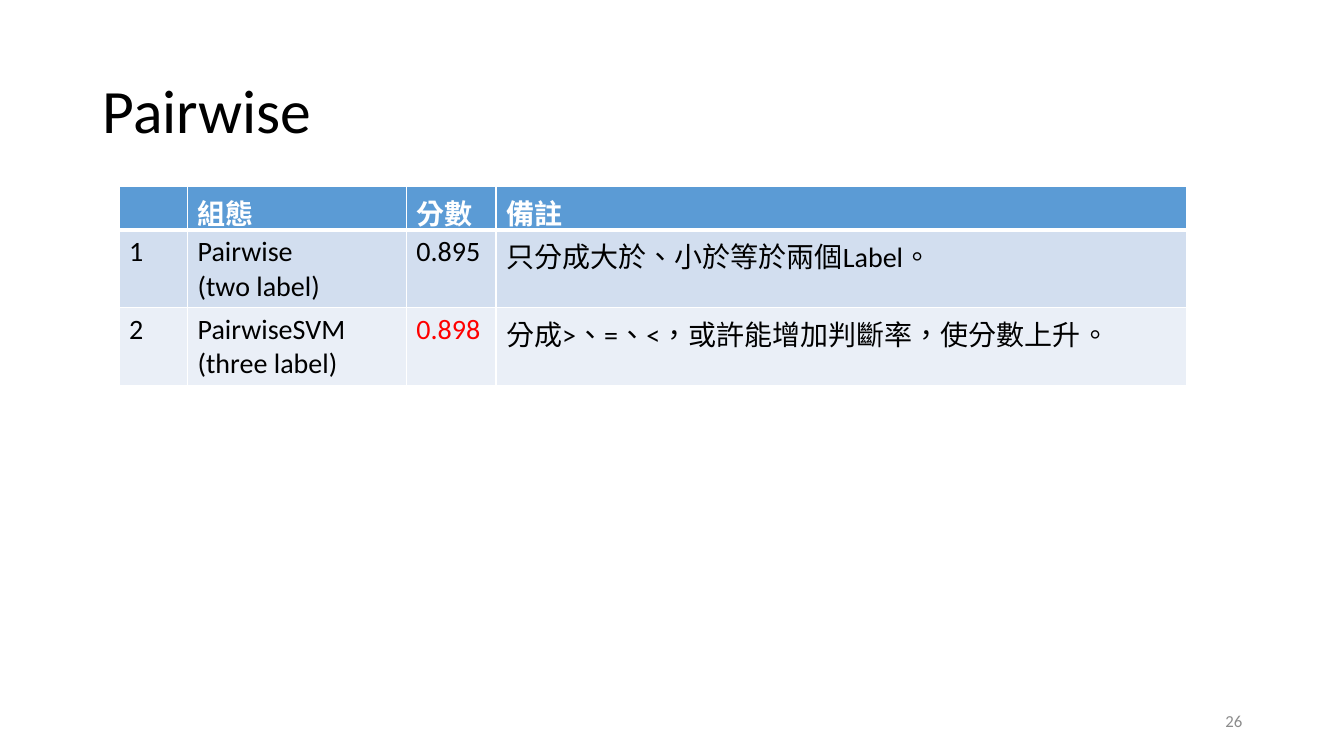
from lxml import etree
from pptx import Presentation
from pptx.dml.color import RGBColor
from pptx.enum.text import MSO_ANCHOR, MSO_AUTO_SIZE, PP_ALIGN
from pptx.oxml.ns import qn
from pptx.util import Inches, Pt

FONT = "Calibri"
WHITE = RGBColor(0xFF, 0xFF, 0xFF)
BLACK = RGBColor(0x00, 0x00, 0x00)
RED = RGBColor(0xFF, 0x00, 0x00)
GREY = RGBColor(0x8C, 0x8C, 0x8C)
HEADER_BLUE = RGBColor(0x5B, 0x9B, 0xD5)
BAND_DARK = RGBColor(0xD2, 0xDE, 0xEF)
BAND_LIGHT = RGBColor(0xEA, 0xEF, 0xF7)

COLUMN_WIDTHS = [0.68, 2.17, 0.89, 6.85]
ROW_HEIGHTS = [0.43, 0.77, 0.77]
ROW_FILLS = [HEADER_BLUE, BAND_DARK, BAND_LIGHT]
CONFIG_COLUMN = 1
BEST_SCORE = "0.898"
RESULTS = [
    ["", "組態", "分數", "備註"],
    ["1", "Pairwise\n(two label)", "0.895", "只分成大於、小於等於兩個Label。"],
    ["2", "PairwiseSVM\n(three label)", BEST_SCORE,
     "分成>、=、<,或許能增加判斷率,使分數上升。".replace(",", "\uff0c")],
]


def write_text(frame, text, size, color, bold=False, align=PP_ALIGN.LEFT):
    """Fill a text frame, one paragraph per line, in a single style."""
    frame.text = text
    for paragraph in frame.paragraphs:
        paragraph.alignment = align
        paragraph.font.size = Pt(size)
        for run in paragraph.runs:
            run.font.name = FONT
            run.font.size = Pt(size)
            run.font.bold = bold
            run.font.color.rgb = color
            run._r.get_or_add_rPr().set("lang", "zh-TW")


def set_borders(cell, color, widths):
    """Draw the left, right, top and bottom borders of a cell."""
    properties = cell._tc.get_or_add_tcPr()
    for index, (side, width) in enumerate(zip("LRTB", widths)):
        line = etree.Element(qn(f"a:ln{side}"), w=str(Pt(width)))
        fill = etree.SubElement(line, qn("a:solidFill"))
        etree.SubElement(fill, qn("a:srgbClr"), val=str(color))
        properties.insert(index, line)


def add_title(slide, text):
    """Place the slide title in its placeholder."""
    title = slide.shapes.title
    title.left, title.top = Inches(0.92), Inches(0.4)
    title.width, title.height = Inches(11.5), Inches(1.45)
    frame = title.text_frame
    write_text(frame, text, 44, BLACK)
    frame.auto_size = MSO_AUTO_SIZE.NONE
    frame.vertical_anchor = MSO_ANCHOR.MIDDLE
    frame.paragraphs[0].line_spacing = 0.9


def add_page_number(slide, number):
    """Add the page number at the bottom right."""
    box = slide.shapes.add_textbox(Inches(9.42), Inches(6.95), Inches(3), Inches(0.4))
    frame = box.text_frame
    frame.word_wrap = True
    frame.vertical_anchor = MSO_ANCHOR.MIDDLE
    write_text(frame, number, 12, GREY, align=PP_ALIGN.RIGHT)


def add_results_table(slide):
    """Add the table of configurations, scores and remarks."""
    table = slide.shapes.add_table(
        len(RESULTS), len(COLUMN_WIDTHS), Inches(1.18), Inches(1.85),
        Inches(sum(COLUMN_WIDTHS)), Inches(sum(ROW_HEIGHTS))).table
    for column, width in zip(table.columns, COLUMN_WIDTHS):
        column.width = Inches(width)
    for r, texts in enumerate(RESULTS):
        table.rows[r].height = Inches(ROW_HEIGHTS[r])
        header = r == 0
        for c, text in enumerate(texts):
            cell = table.cell(r, c)
            color = WHITE if header else RED if text == BEST_SCORE else BLACK
            write_text(cell.text_frame, text, 20, color, bold=header)
            if c == CONFIG_COLUMN and not header:
                cell.vertical_anchor = MSO_ANCHOR.MIDDLE
            cell.fill.solid()
            cell.fill.fore_color.rgb = ROW_FILLS[r]
            set_borders(cell, WHITE, [1, 1, 3 if r == 1 else 1, 3 if header else 1])


def main():
    """Build the slide and save it."""
    deck = Presentation()
    deck.slide_width, deck.slide_height = Inches(13.33), Inches(7.5)
    slide = deck.slides.add_slide(deck.slide_layouts.get_by_name("Title Only"))
    add_title(slide, "Pairwise")
    add_page_number(slide, "26")
    add_results_table(slide)
    deck.save("out.pptx")


main()
